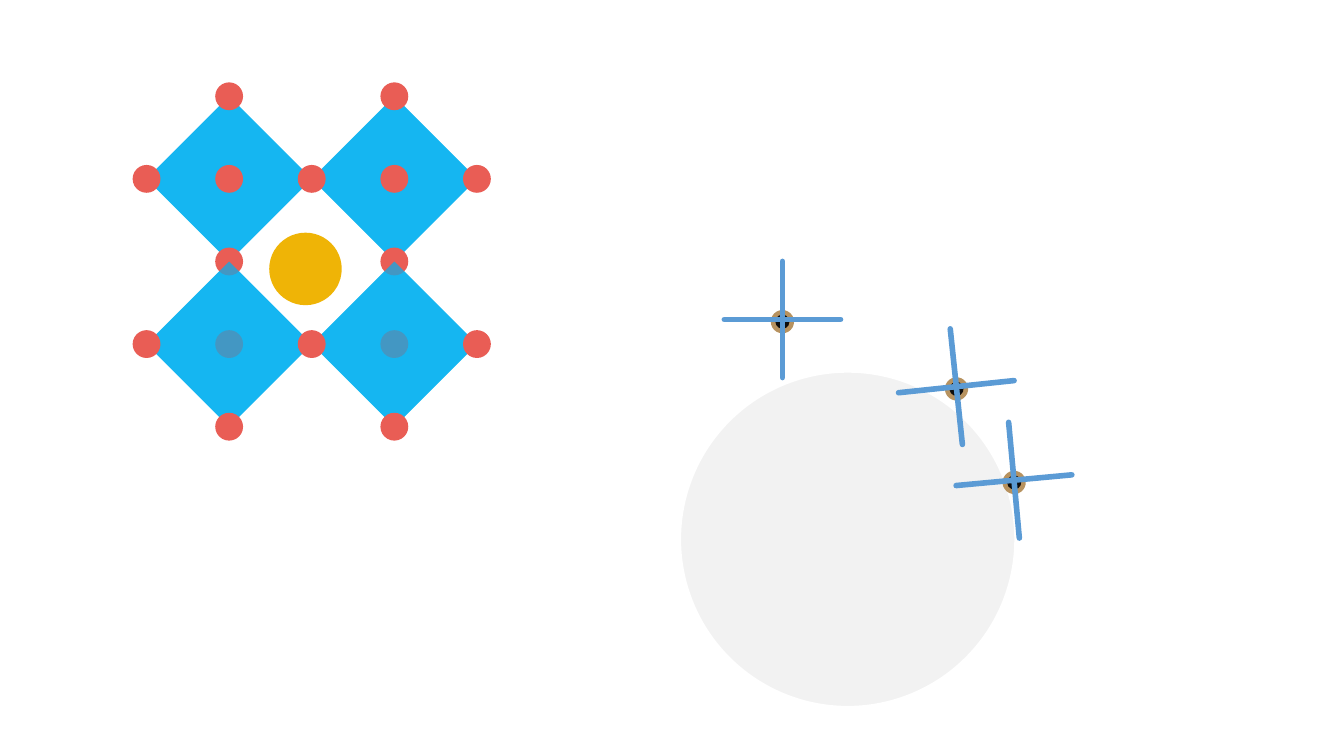
from lxml.etree import SubElement
from pptx import Presentation
from pptx.dml.color import RGBColor
from pptx.enum.shapes import MSO_CONNECTOR, MSO_SHAPE
from pptx.oxml.ns import qn
from pptx.util import Pt

COLORS = {
    "disc": "F2F2F2",
    "rim": "FFFFFF",
    "ring": "B7925F",
    "pupil": "0D0D0D",
    "cross": "5B9BD5",
    "octahedron": "00B0F0",
    "atom": "E95D55",
    "cation": "EFB406",
}

prs = Presentation()
prs.slide_width, prs.slide_height = Pt(960), Pt(540)
s = prs.slides.add_slide(prs.slide_layouts[6])


def add_centered(shapes, kind, x, y, size, color):
    sp = shapes.add_shape(kind, Pt(x - size / 2), Pt(y - size / 2), Pt(size), Pt(size))
    sp.shadow.inherit = False
    sp.fill.solid()
    sp.fill.fore_color.rgb = RGBColor.from_string(COLORS[color])
    sp.line.fill.background()
    return sp


def add_octahedron(x, y, size):
    sp = add_centered(s.shapes, MSO_SHAPE.DIAMOND, x, y, size, "octahedron")
    fill = sp.fill.fore_color._xFill
    SubElement(fill.find(qn("a:srgbClr")), qn("a:alpha"), val="71000")


disc = add_centered(s.shapes, MSO_SHAPE.OVAL, 605.5, 385.2, 262, "disc")
disc.line.color.rgb = RGBColor.from_string(COLORS["rim"])
disc.line.width = Pt(24)

ARM = 41.5
for x, y, tilt in [(683.1, 276.2, -6), (558.9, 228.2, 0), (724.3, 343, -5.3)]:
    target = s.shapes.add_group_shape()
    add_centered(target.shapes, MSO_SHAPE.OVAL, x, y + 1.6, 16.6, "ring")
    add_centered(target.shapes, MSO_SHAPE.OVAL, x, y + 1.6, 10.1, "pupil")
    for dx, dy in [(0, -ARM), (ARM, 0)]:
        line = target.shapes.add_connector(
            MSO_CONNECTOR.STRAIGHT, Pt(x + dx), Pt(y + dy), Pt(x - dx), Pt(y - dy))
        line.line.color.rgb = RGBColor.from_string(COLORS["cross"])
        line.line.width = Pt(4)
        line.line._ln.set("cap", "rnd")
        SubElement(line._element.spPr, qn("a:effectLst"))
    target.rotation = tilt

HALF = 59
ATOM = 19.9
LEFT, TOP = 163.7, 127.8
centers = [(LEFT + 2 * HALF * col, TOP + 2 * HALF * row) for row in range(2) for col in range(2)]

for x, y in centers:
    add_octahedron(x, y, 2 * HALF)

for x, y in centers:
    atoms = [(-1, 0), (0, 1)]
    if x > LEFT:
        atoms.append((1, 0))
    if y == TOP:
        atoms += [(0, -1), (0, 0)]
    else:
        add_centered(s.shapes, MSO_SHAPE.OVAL, x, y, ATOM, "atom")
    add_octahedron(x, y, 2 * HALF)
    for i, j in atoms:
        add_centered(s.shapes, MSO_SHAPE.OVAL, x + i * HALF, y + j * HALF, ATOM, "atom")

add_centered(s.shapes, MSO_SHAPE.OVAL, 218.2, 192.1, 51.8, "cation")

prs.save("out.pptx")
